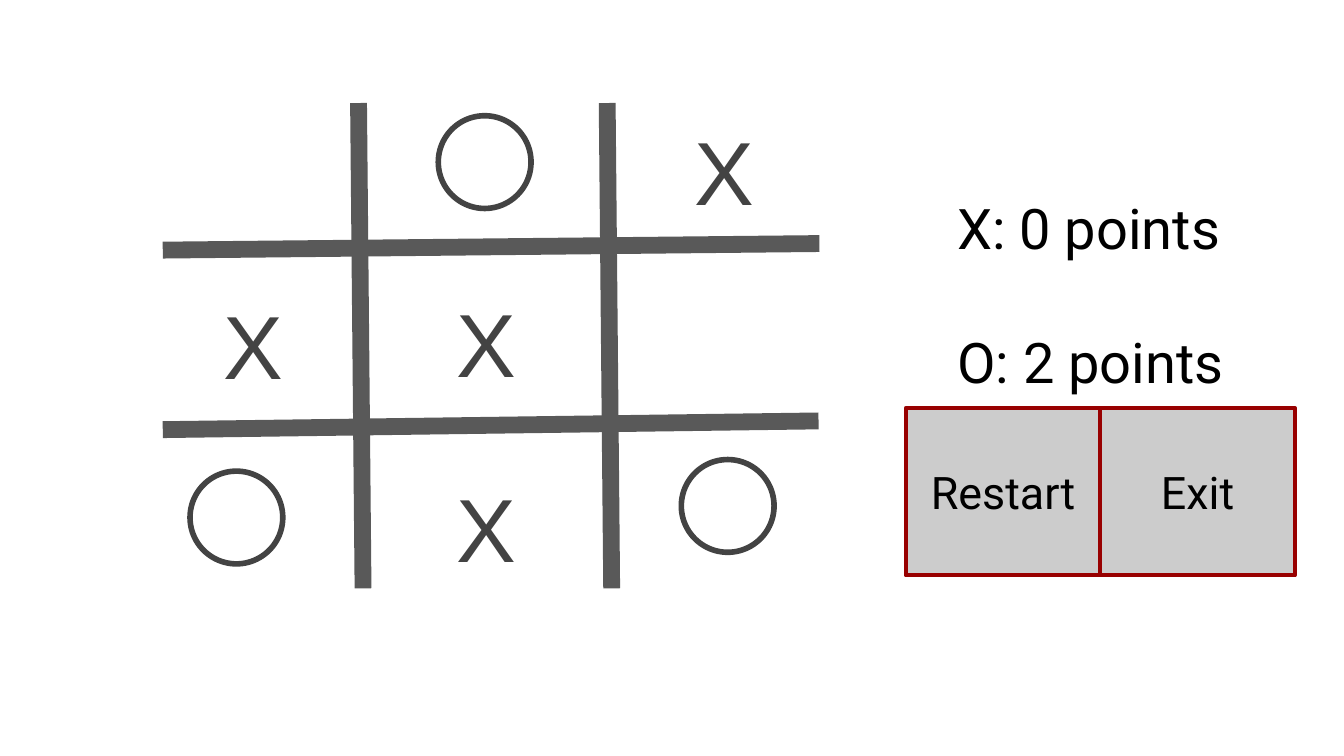
import pptx
import pptx.util
import pptx.dml.color
import pptx.enum.shapes
import pptx.enum.text
import pptx.oxml

Pt = pptx.util.Pt
SHAPES = pptx.enum.shapes.MSO_SHAPE
COLOURS = {
    "grid": "595959",
    "mark": "434343",
    "text": "000000",
    "button": "CCCCCC",
    "border": "980000",
}
MARK_SIZE = 49.7


class GameSlide:
    def __init__(self, slide):
        self.slide = slide
        self.inset = Pt(7.2)

    def colour(self, name):
        return pptx.dml.color.RGBColor.from_string(COLOURS[name])

    def set_text(self, shape, lines, font, size, colour, spacing=None, centred=False):
        frame = shape.text_frame
        frame.word_wrap = True
        frame.margin_left = frame.margin_right = self.inset
        frame.margin_top = frame.margin_bottom = self.inset
        anchor = pptx.enum.text.MSO_ANCHOR
        frame.vertical_anchor = anchor.MIDDLE if centred else anchor.TOP
        frame.text = "\n".join(lines)
        for paragraph in frame.paragraphs:
            paragraph.font.name = font
            paragraph.font.size = Pt(size)
            paragraph.font.color.rgb = self.colour(colour)
            if spacing:
                paragraph.line_spacing = spacing
            if centred:
                paragraph.alignment = pptx.enum.text.PP_ALIGN.CENTER

    def text(self, left, top, width, height, lines, font, size, colour, spacing=None):
        box = self.slide.shapes.add_textbox(Pt(left), Pt(top), Pt(width), Pt(height))
        self.set_text(box, lines, font, size, colour, spacing)

    def shape(self, kind, left, top, width, height, line, line_width, fill=None):
        shape = self.slide.shapes.add_shape(kind, Pt(left), Pt(top), Pt(width), Pt(height))
        shape.shadow.inherit = False
        if fill:
            shape.fill.solid()
            shape.fill.fore_color.rgb = self.colour(fill)
        else:
            shape.fill.background()
        shape.line.color.rgb = self.colour(line)
        shape.line.width = Pt(line_width)
        return shape

    def grid_line(self, *ends):
        line = self.slide.shapes.add_connector(
            pptx.enum.shapes.MSO_CONNECTOR.STRAIGHT, *map(Pt, ends))
        line.line.color.rgb = self.colour("grid")
        line.line.width = Pt(9)
        line._element.spPr.append(pptx.oxml.parse_xml(
            '<a:effectLst xmlns:a="http://schemas.openxmlformats.org/drawingml/2006/main"/>'))

    def cross(self, left, top):
        self.text(left, top, MARK_SIZE, 61.9, ["X"], "Arial", 48, "mark")

    def nought(self, left, top):
        self.shape(SHAPES.OVAL, left, top, MARK_SIZE, MARK_SIZE, "mark", 3)

    def button(self, left, top, width, height, label):
        button = self.shape(SHAPES.RECTANGLE, left, top, width, height,
                            "border", 2.25, "button")
        self.set_text(button, [label], "Roboto", 24, "text", centred=True)


def main():
    presentation = pptx.Presentation()
    presentation.slide_width = Pt(720)
    presentation.slide_height = Pt(405)
    game = GameSlide(presentation.slides.add_slide(presentation.slide_layouts[6]))

    for x in (192.1, 325.3):
        game.grid_line(x, 55.2, x + 2.4, 315.2)
    for right, right_y, left_y in ((439, 130.5, 134), (438.5, 225.5, 230.2)):
        game.grid_line(right, right_y, 87.2, left_y)

    for left, top in ((237.6, 147), (365, 55.2), (237.6, 246.2), (112.8, 148.3)):
        game.cross(left, top)
    for left, top in ((234.8, 62), (101.8, 252.4), (365, 246.2)):
        game.nought(left, top)

    game.text(505.7, 60.5, 165.6, 138.2, ["X: 0 points", "O: 2 points"],
              "Roboto", 30, "text", spacing=2.0)
    button_width = 104.2
    for column, label in enumerate(("Restart", "Exit")):
        game.button(485.3 + column * button_width, 218.6, button_width, 89.7, label)

    presentation.save("out.pptx")


if __name__ == "__main__":
    main()
